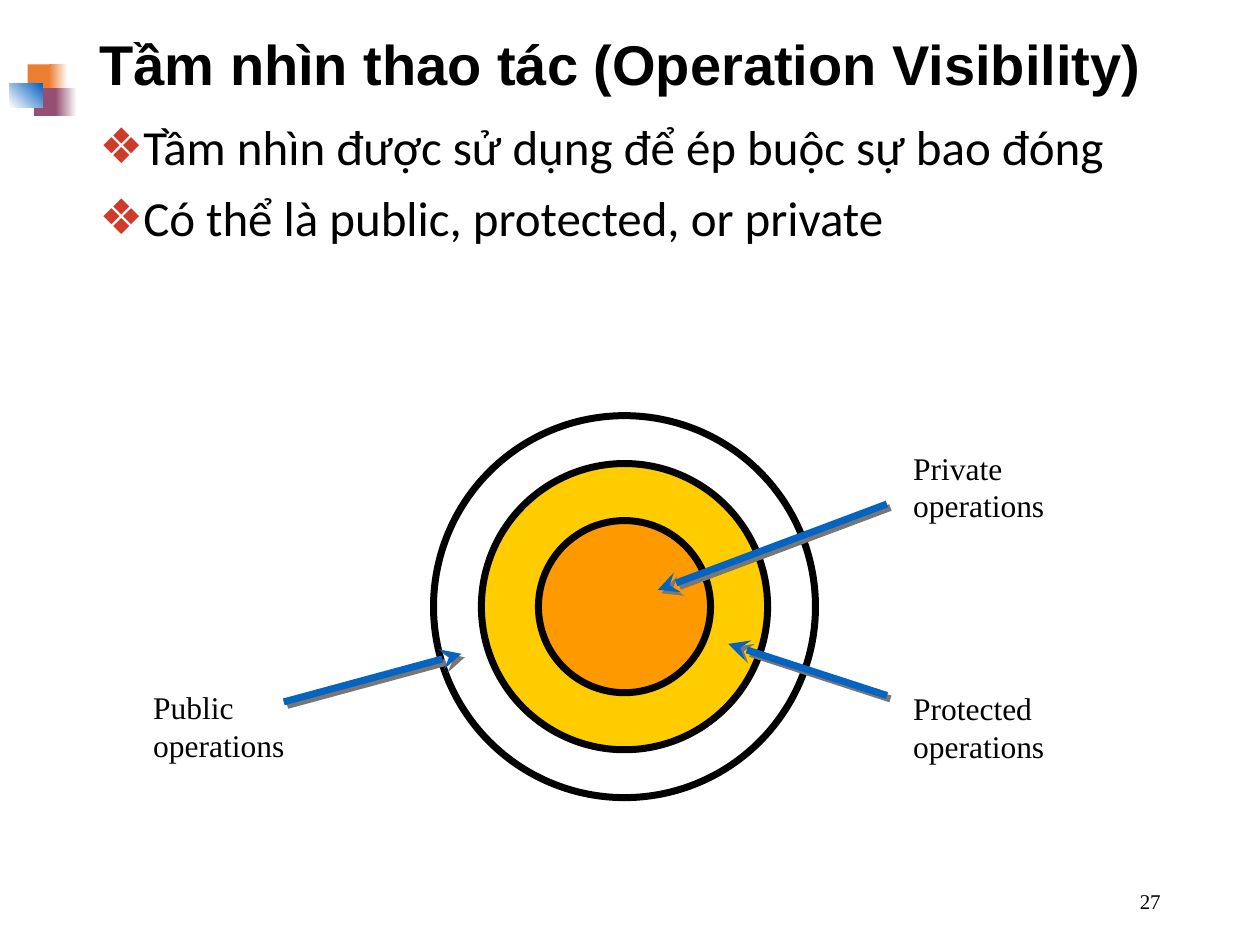
"""Build a slide on operation visibility with concentric circles and labelled arrows."""
from lxml.etree import SubElement
from pptx import Presentation
from pptx.dml.color import RGBColor
from pptx.enum.shapes import MSO_CONNECTOR, MSO_SHAPE
from pptx.enum.text import MSO_ANCHOR, MSO_AUTO_SIZE, PP_ALIGN
from pptx.oxml.ns import qn
from pptx.util import Cm, Pt

COLORS = {
    "black": "000000", "white": "FFFFFF", "yellow": "FFCC00", "amber": "FF9900",
    "orange": "ED7D31", "plum": "954F72", "blue": "0563C1", "red": "CE3B2A",
    "shadow": "777777",
}
TITLE = "Tầm nhìn thao tác (Operation Visibility)"
BULLETS = [
    "Tầm nhìn được sử dụng để ép buộc sự bao đóng",
    "Có thể là public, protected, or private",
]
PAGE_NUMBER = "27"
LOGO_BLOCKS = [
    ((0.56, 1.3, 0.51, 0.56), ["orange"], 0),
    ((0.99, 1.3, 0.38, 0.56), ["orange", "white"], 0),
    ((0.69, 1.78, 0.48, 0.56), ["plum"], 0),
    ((1.12, 1.78, 0.43, 0.56), ["plum", "white"], 0),
    ((0.2, 1.68, 0.66, 0.48), ["white", "blue"], 45),
]
CENTER = (12.59, 12.23)
CIRCLES = [(7.7, "white"), (5.77, "yellow"), (3.47, "amber")]
LABELS = [
    (["Public operations"], (2.84, 13.74, 3.76, 1.78)),
    (["Protected", "operations"], (18.16, 13.77, 4.01, 1.78)),
    (["Private", "operations"], (18.16, 8.92, 3.76, 1.78)),
]
ARROWS = [
    (5.72, 14.15, 9.3, 13.18),
    (17.88, 14.02, 14.68, 12.98),
    (17.88, 10.16, 13.26, 11.89),
]


def color(name):
    return RGBColor.from_string(COLORS[name])


def place(shape, box):
    shape.left, shape.top, shape.width, shape.height = map(Cm, box)
    return shape


def add_bullet(paragraph):
    properties = paragraph._p.get_or_add_pPr()
    properties.set("marL", str(Cm(0.5)))
    properties.set("indent", str(-Cm(0.5)))
    bullet_color = SubElement(properties, qn("a:buClr"))
    SubElement(bullet_color, qn("a:srgbClr"), val=COLORS["red"])
    SubElement(properties, qn("a:buChar"), char="❖")


def write(shape, lines, font="Times New Roman", size=18, bold=False, align=PP_ALIGN.LEFT,
          anchor=MSO_ANCHOR.TOP, spacing=1.0, gap=0, bullets=False):
    frame = shape.text_frame
    frame.word_wrap = True
    frame.auto_size = MSO_AUTO_SIZE.NONE
    frame.vertical_anchor = anchor
    for index, line in enumerate(lines):
        paragraph = frame.add_paragraph() if index else frame.paragraphs[0]
        paragraph.alignment = align
        paragraph.line_spacing = spacing
        paragraph.space_before = Pt(gap if index else 0)
        if bullets:
            add_bullet(paragraph)
        run = paragraph.add_run()
        run.text = line
        run.font.name, run.font.size, run.font.bold = font, Pt(size), bold
        run.font.color.rgb = color("black")


def add_block(slide, preset, box, fills, angle=0, line_width=0):
    shape = place(slide.shapes.add_shape(preset, 0, 0, 0, 0), box)
    shape.shadow.inherit = False
    if len(fills) == 1:
        shape.fill.solid()
        shape.fill.fore_color.rgb = color(fills[0])
    else:
        shape.fill.gradient()
        shape.fill.gradient_angle = angle
        for stop, name in zip(shape.fill.gradient_stops, fills):
            stop.color.rgb = color(name)
    if line_width:
        shape.line.color.rgb = color("black")
        shape.line.width = Pt(line_width)
    else:
        shape.line.fill.background()


def add_arrow(slide, ends):
    arrow = slide.shapes.add_connector(MSO_CONNECTOR.STRAIGHT, *map(Cm, ends))
    arrow.line.color.rgb = color("blue")
    arrow.line.width = Pt(4)
    SubElement(arrow.line._get_or_add_ln(), qn("a:tailEnd"), type="stealth")
    effects = SubElement(arrow._element.spPr, qn("a:effectLst"))
    shadow = SubElement(effects, qn("a:outerShdw"), dist=str(Pt(2.8)), dir="2700000",
                        algn="ctr", rotWithShape="0")
    SubElement(shadow, qn("a:srgbClr"), val=COLORS["shadow"])


def main():
    presentation = Presentation()
    presentation.slide_width, presentation.slide_height = Cm(25.4), Cm(19.05)
    slide = presentation.slides.add_slide(presentation.slide_layouts[1])
    title, body = slide.placeholders
    write(place(title, (1.75, 0.33, 21.9, 2.06)), [TITLE], font="Arial", size=32,
          bold=True, anchor=MSO_ANCHOR.MIDDLE, spacing=0.9)
    write(place(body, (1.75, 2.36, 21.9, 14.38)), BULLETS, font="Calibri", size=28,
          spacing=0.9, gap=10, bullets=True)

    for box, fills, angle in LOGO_BLOCKS:
        add_block(slide, MSO_SHAPE.RECTANGLE, box, fills, angle)
    for diameter, fill in CIRCLES:
        left, top = (middle - diameter / 2 for middle in CENTER)
        add_block(slide, MSO_SHAPE.OVAL, (left, top, diameter, diameter), [fill], line_width=4)
    for lines, box in LABELS:
        write(slide.shapes.add_textbox(*map(Cm, box)), lines)
    for ends in ARROWS:
        add_arrow(slide, ends)
    write(slide.shapes.add_textbox(*map(Cm, (17.93, 17.65, 5.72, 1.02))), [PAGE_NUMBER],
          size=12, align=PP_ALIGN.RIGHT, anchor=MSO_ANCHOR.MIDDLE)
    presentation.save("out.pptx")


if __name__ == "__main__":
    main()
